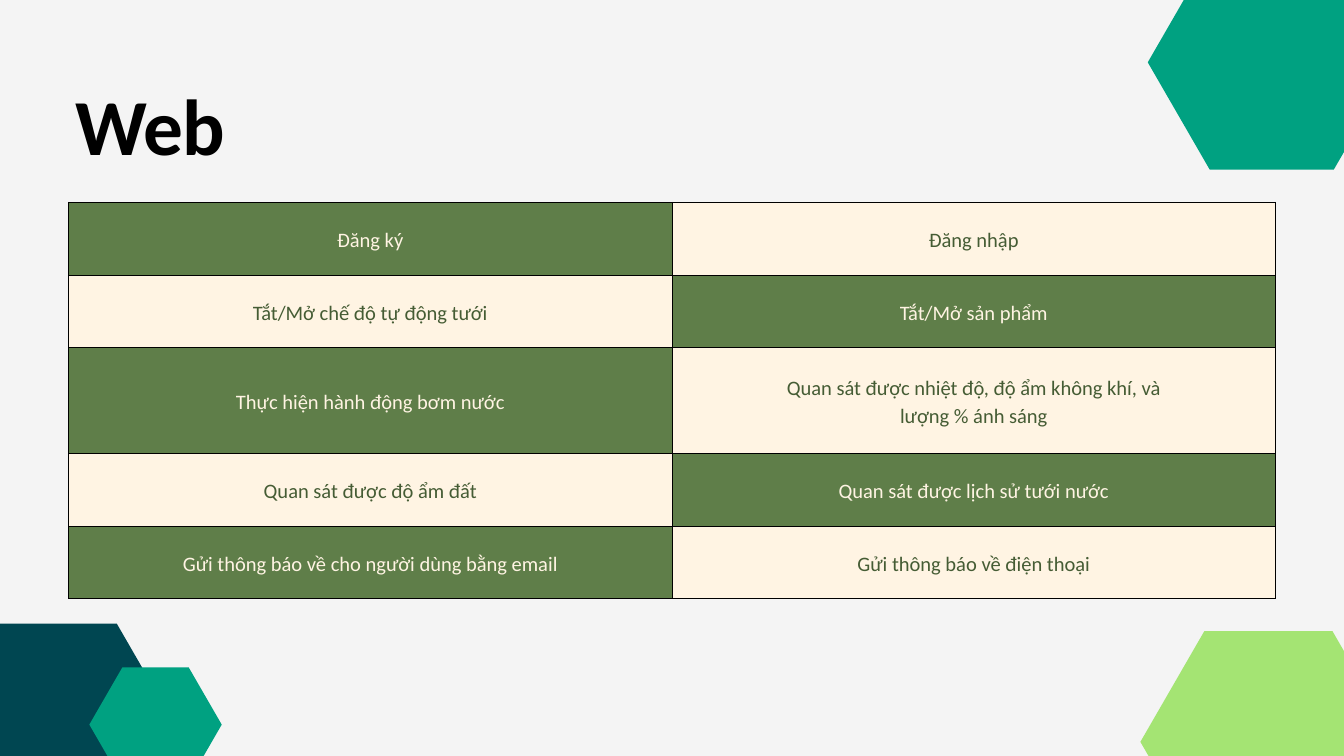
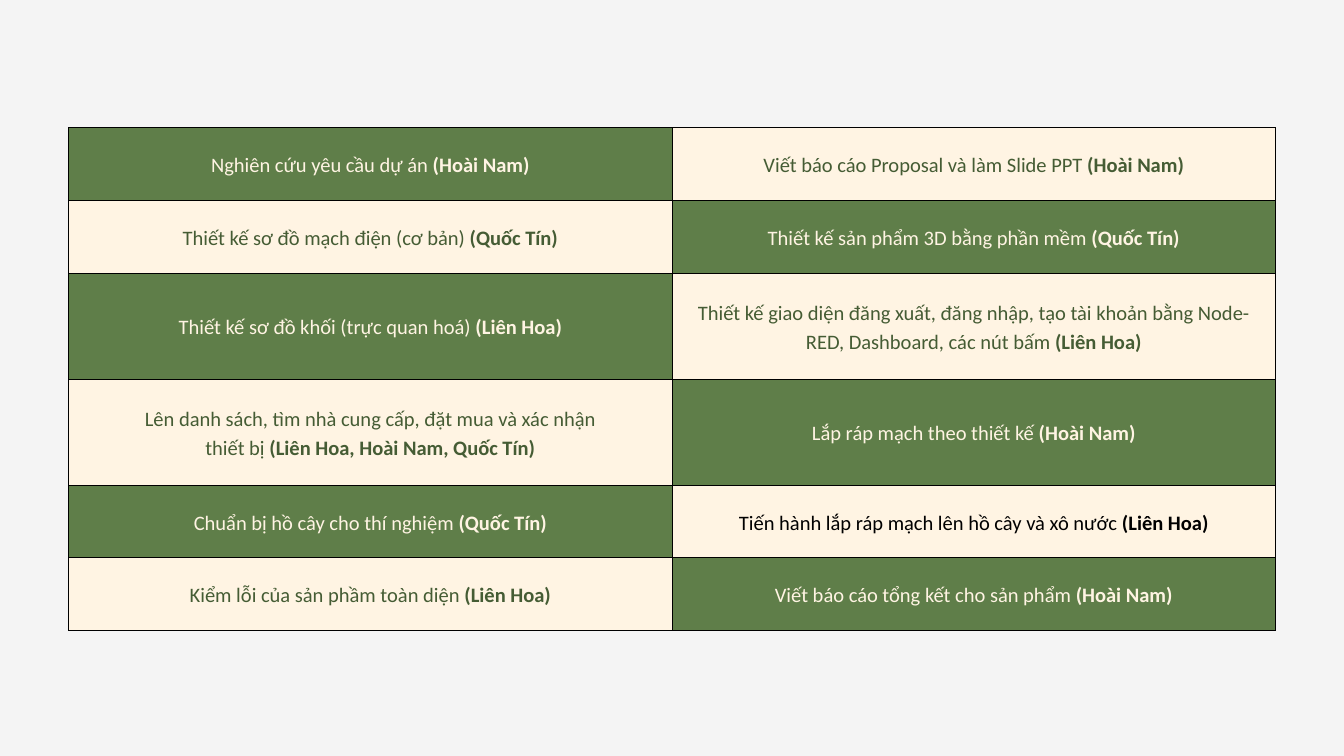
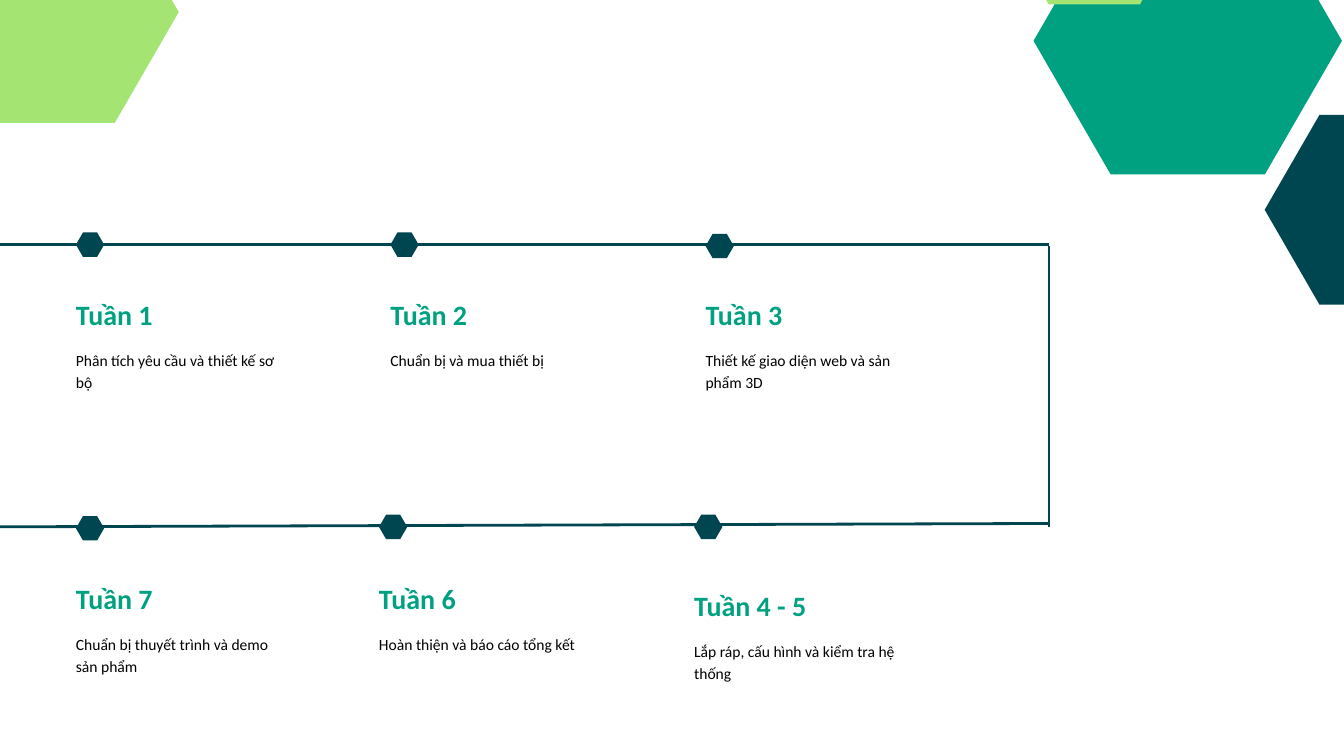
from dataclasses import dataclass
from math import sqrt

from lxml import etree
from pptx import Presentation
from pptx.dml.color import RGBColor
from pptx.enum.shapes import MSO_CONNECTOR, MSO_SHAPE
from pptx.enum.text import MSO_ANCHOR, MSO_AUTO_SIZE, PP_ALIGN
from pptx.oxml.ns import qn
from pptx.util import Inches, Pt

# Enum members
HEXAGON = MSO_SHAPE.HEXAGON
STRAIGHT = MSO_CONNECTOR.STRAIGHT
LEFT, CENTER = PP_ALIGN.LEFT, PP_ALIGN.CENTER
TOP, MIDDLE = MSO_ANCHOR.TOP, MSO_ANCHOR.MIDDLE
NO_FIT, GROW = MSO_AUTO_SIZE.NONE, MSO_AUTO_SIZE.SHAPE_TO_FIT_TEXT

# Theme
FONT = "Calibri"
BLACK = RGBColor(0x00, 0x00, 0x00)
WHITE = RGBColor(0xFF, 0xFF, 0xFF)
PALE = RGBColor(0xF4, 0xF4, 0xF4)
NAVY = RGBColor(0x00, 0x46, 0x51)
TEAL = RGBColor(0x00, 0xA1, 0x81)
LIME = RGBColor(0xA4, 0xE4, 0x73)
GREEN = RGBColor(0x5F, 0x7E, 0x49)
CREAM = RGBColor(0xFF, 0xF4, 0xE3)
MOSS = RGBColor(0x45, 0x5C, 0x34)

TITLE_ONLY, BLANK = 5, 6
TABLE_LEFT, COL_WIDTH = 1.02, 8.98
PAD = 0.21
SHORT, TALL = 1.08, 1.58
MARK_WIDTH = 0.42
RAIL_END = 15.61


@dataclass
class Hex:
    left: float
    top: float
    width: float
    color: RGBColor


@dataclass
class Cell:
    text: str
    who: str = ""
    ink: RGBColor | None = None


@dataclass
class Week:
    name: str
    note: str
    left: float
    mark: float
    top: float


# Shared parts
def add_slide(deck, layout: int, color: RGBColor):
    slide = deck.slides.add_slide(deck.slide_layouts[layout])
    slide.background.fill.solid()
    slide.background.fill.fore_color.rgb = color
    return slide


def write(frame, text: str, *, size: float, color: RGBColor, line: float,
          bold: bool = False, align=LEFT, tail: str = "", track: float = 0) -> None:
    """Fill a frame, one paragraph a line, with an optional bold tail."""
    frame.word_wrap = True
    lines = text.split("\n")
    for i, part in enumerate(lines):
        para = frame.paragraphs[0] if i == 0 else frame.add_paragraph()
        para.alignment = align
        para.line_spacing = Pt(line)
        para.space_before = para.space_after = Pt(0)
        runs = [(part, bold)]
        if tail and i == len(lines) - 1:
            runs = [(part + " ", bold), (tail, True)]
        for words, strong in runs:
            run = para.add_run()
            run.text = words
            run.font.name = FONT
            run.font.size = Pt(size)
            run.font.bold = strong
            run.font.color.rgb = color
            if track:
                run.font._element.set("spc", str(round(track * 100)))


def bare(frame, fit) -> None:
    frame.margin_left = frame.margin_right = 0
    frame.margin_top = frame.margin_bottom = 0
    frame.vertical_anchor = TOP
    frame.auto_size = fit


def add_text(slide, text: str, left: float, top: float, height: float, **style) -> None:
    box = slide.shapes.add_textbox(Inches(left), Inches(top), Inches(3.07), Inches(height))
    bare(box.text_frame, GROW)
    write(box.text_frame, text, **style)


def add_hex(slide, item: Hex) -> None:
    """Draw a regular hexagon with flat top and bottom."""
    height = item.width * sqrt(3) / 2
    shape = slide.shapes.add_shape(HEXAGON, Inches(item.left), Inches(item.top),
                                   Inches(item.width), Inches(height))
    shape.adjustments[0] = item.width / 4 / height
    shape.shadow.inherit = False
    shape.fill.solid()
    shape.fill.fore_color.rgb = item.color
    shape.line.fill.background()


def add_rail(slide, x1: float, y1: float, x2: float, y2: float) -> None:
    rail = slide.shapes.add_connector(STRAIGHT, Inches(x1), Inches(y1), Inches(x2), Inches(y2))
    rail.line.color.rgb = NAVY
    rail.line.width = Pt(3)
    etree.SubElement(rail._element.spPr, qn("a:effectLst"))


def add_edges(cell) -> None:
    props = cell._tc.get_or_add_tcPr()
    for side in ("lnL", "lnR", "lnT", "lnB"):
        edge = etree.SubElement(props, qn(f"a:{side}"), w=str(Pt(0.75)))
        fill = etree.SubElement(edge, qn("a:solidFill"))
        etree.SubElement(fill, qn("a:srgbClr"), val=str(BLACK))


def add_grid(slide, top: float, rows: list[tuple[Cell, Cell]], heights: list[float]) -> None:
    """Draw a two-column table in a checkerboard of green and cream."""
    table = slide.shapes.add_table(len(rows), 2, Inches(TABLE_LEFT), Inches(top),
                                   Inches(2 * COL_WIDTH), Inches(sum(heights))).table
    table.first_row = table.horz_banding = False
    for col in table.columns:
        col.width = Inches(COL_WIDTH)
    for r, (row, height) in enumerate(zip(rows, heights)):
        table.rows[r].height = Inches(height)
        for c, item in enumerate(row):
            cell = table.cell(r, c)
            fill, ink = (CREAM, MOSS) if (r + c) % 2 else (GREEN, CREAM)
            add_edges(cell)
            cell.fill.solid()
            cell.fill.fore_color.rgb = fill
            cell.margin_left = cell.margin_right = Inches(PAD)
            cell.margin_top = cell.margin_bottom = Inches(PAD)
            cell.vertical_anchor = MIDDLE
            write(cell.text_frame, item.text, size=22, color=item.ink or ink,
                  line=30.8, align=CENTER, tail=item.who)


# Content
WEB_HEXES = [
    Hex(-2.35, 9.28, 5.45, NAVY),
    Hex(16.97, 9.39, 3.81, LIME),
    Hex(1.33, 9.93, 1.97, TEAL),
    Hex(17.08, -0.67, 3.69, TEAL),
]
WEB_ROWS = [
    (Cell("Đăng ký"), Cell("Đăng nhập")),
    (Cell("Tắt/Mở chế độ tự động tưới"), Cell("Tắt/Mở sản phẩm")),
    (Cell("Thực hiện hành động bơm nước"),
     Cell("Quan sát được nhiệt độ, độ ẩm không khí, và\nlượng % ánh sáng")),
    (Cell("Quan sát được độ ẩm đất"), Cell("Quan sát được lịch sử tưới nước")),
    (Cell("Gửi thông báo về cho người dùng bằng email"),
     Cell("Gửi thông báo về điện thoại")),
]

NAM, TIN, HOA = "(Hoài Nam)", "(Quốc Tín)", "(Liên Hoa)"
TASK_ROWS = [
    (Cell("Nghiên cứu yêu cầu dự án", NAM),
     Cell("Viết báo cáo Proposal và làm Slide PPT", NAM)),
    (Cell("Thiết kế sơ đồ mạch điện (cơ bản)", TIN),
     Cell("Thiết kế sản phẩm 3D bằng phần mềm", TIN)),
    (Cell("Thiết kế sơ đồ khối (trực quan hoá)", HOA),
     Cell("Thiết kế giao diện đăng xuất, đăng nhập, tạo tài khoản bằng "
          "Node-RED, Dashboard, các nút bấm", HOA)),
    (Cell("Lên danh sách, tìm nhà cung cấp, đặt mua và xác nhận\nthiết bị",
          "(Liên Hoa, Hoài Nam, Quốc Tín)"),
     Cell("Lắp ráp mạch theo thiết kế", NAM)),
    (Cell("Chuẩn bị hồ cây cho thí nghiệm", TIN),
     Cell("Tiến hành lắp ráp mạch lên hồ cây và xô nước", HOA, BLACK)),
    (Cell("Kiểm lỗi của sản phầm toàn diện", HOA),
     Cell("Viết báo cáo tổng kết cho sản phẩm", NAM)),
]

PLAN_HEXES = [
    Hex(18.82, 1.71, 3.26, NAVY),
    Hex(15.38, -1.38, 4.59, TEAL),
    Hex(14.93, -2.28, 2.71, LIME),
    Hex(-1.15, -1.47, 3.81, LIME),
]
WEEKS = [
    Week("Tuần 1", "Phân tích yêu cầu và thiết kế sơ bộ", 1.13, 3.46, 4.43),
    Week("Tuần 2", "Chuẩn bị và mua thiết bị", 5.81, 3.46, 4.43),
    Week("Tuần 3", "Thiết kế giao diện web và sản phẩm 3D", 10.5, 3.48, 4.43),
    Week("Tuần 7", "Chuẩn bị thuyết trình và demo sản phẩm", 1.13, 7.68, 8.66),
    Week("Tuần 6", "Hoàn thiện và báo cáo tổng kết", 5.64, 7.66, 8.66),
    Week("Tuần 4 - 5", "Lắp ráp, cấu hình và kiểm tra hệ thống", 10.33, 7.66, 8.76),
]
RAILS = [
    (0, 3.64, RAIL_END, 3.64),
    (0, 7.84, RAIL_END, 7.79),
    (RAIL_END, 3.66, RAIL_END, 7.84),
]


# Slides
def web_slide(deck) -> None:
    slide = add_slide(deck, TITLE_ONLY, PALE)
    title = slide.shapes.title
    title.left, title.top = Inches(1.12), Inches(1.14)
    title.width, title.height = Inches(6.03), Inches(1.4)
    bare(title.text_frame, NO_FIT)
    write(title.text_frame, "Web", size=85, color=BLACK, line=102, bold=True, track=-0.8)
    for item in WEB_HEXES:
        add_hex(slide, item)
    add_grid(slide, 3.01, WEB_ROWS, [SHORT, SHORT, TALL, SHORT, SHORT])


def task_slide(deck) -> None:
    slide = add_slide(deck, BLANK, PALE)
    add_grid(slide, 1.9, TASK_ROWS, [SHORT, SHORT, TALL, TALL, SHORT, SHORT])


def plan_slide(deck) -> None:
    slide = add_slide(deck, BLANK, WHITE)
    for rail in RAILS:
        add_rail(slide, *rail)
    for week in WEEKS:
        add_hex(slide, Hex(week.left, week.mark, MARK_WIDTH, NAVY))
        add_text(slide, week.name, week.left, week.top, 0.5,
                 size=30, color=TEAL, line=36, bold=True)
        add_text(slide, week.note, week.left, week.top + 0.75, 0.62,
                 size=16.7, color=BLACK, line=23.3)
    for item in PLAN_HEXES:
        add_hex(slide, item)


def main() -> None:
    deck = Presentation()
    deck.slide_width, deck.slide_height = Inches(20), Inches(11.25)
    web_slide(deck)
    task_slide(deck)
    plan_slide(deck)
    deck.save("out.pptx")


if __name__ == "__main__":
    main()
